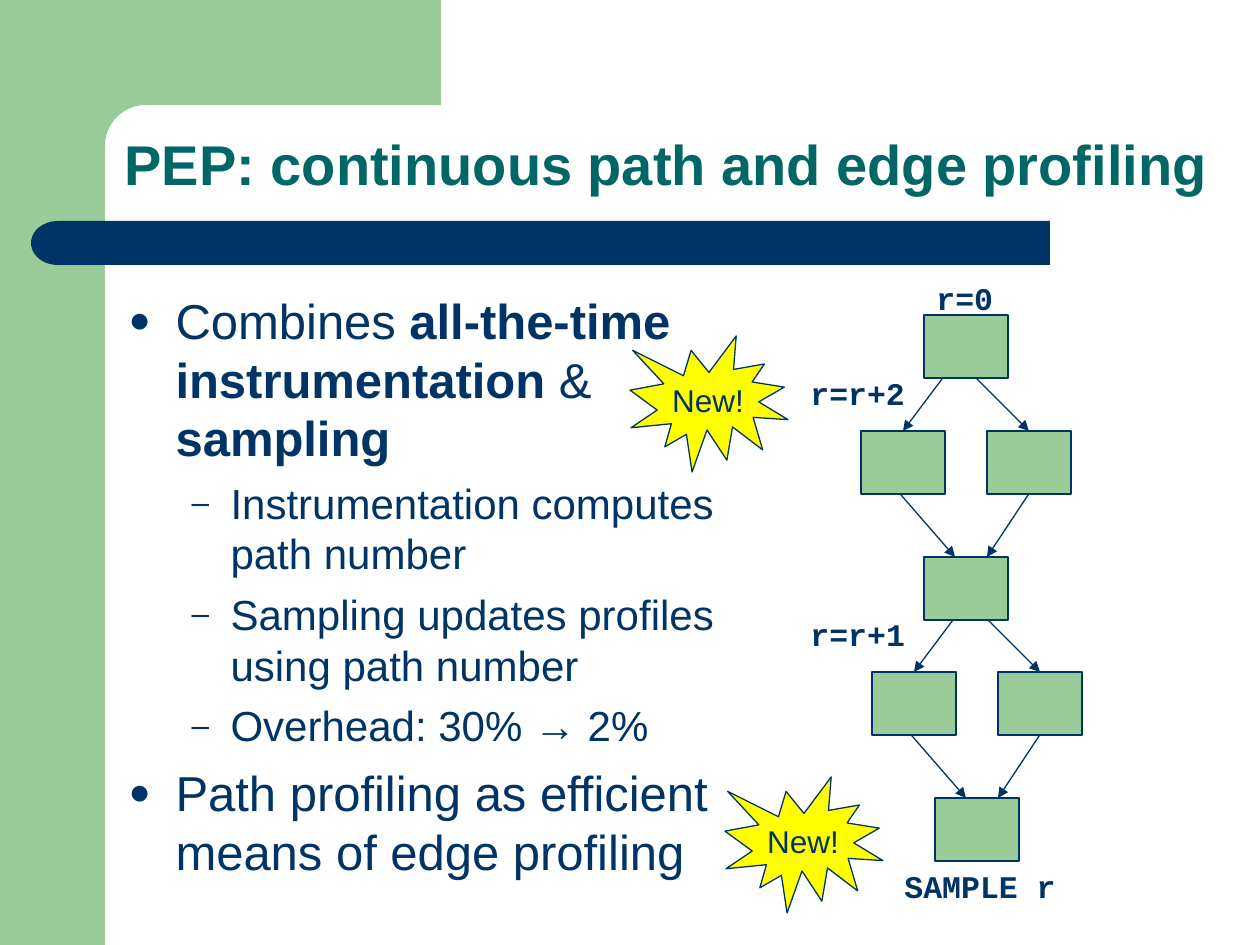
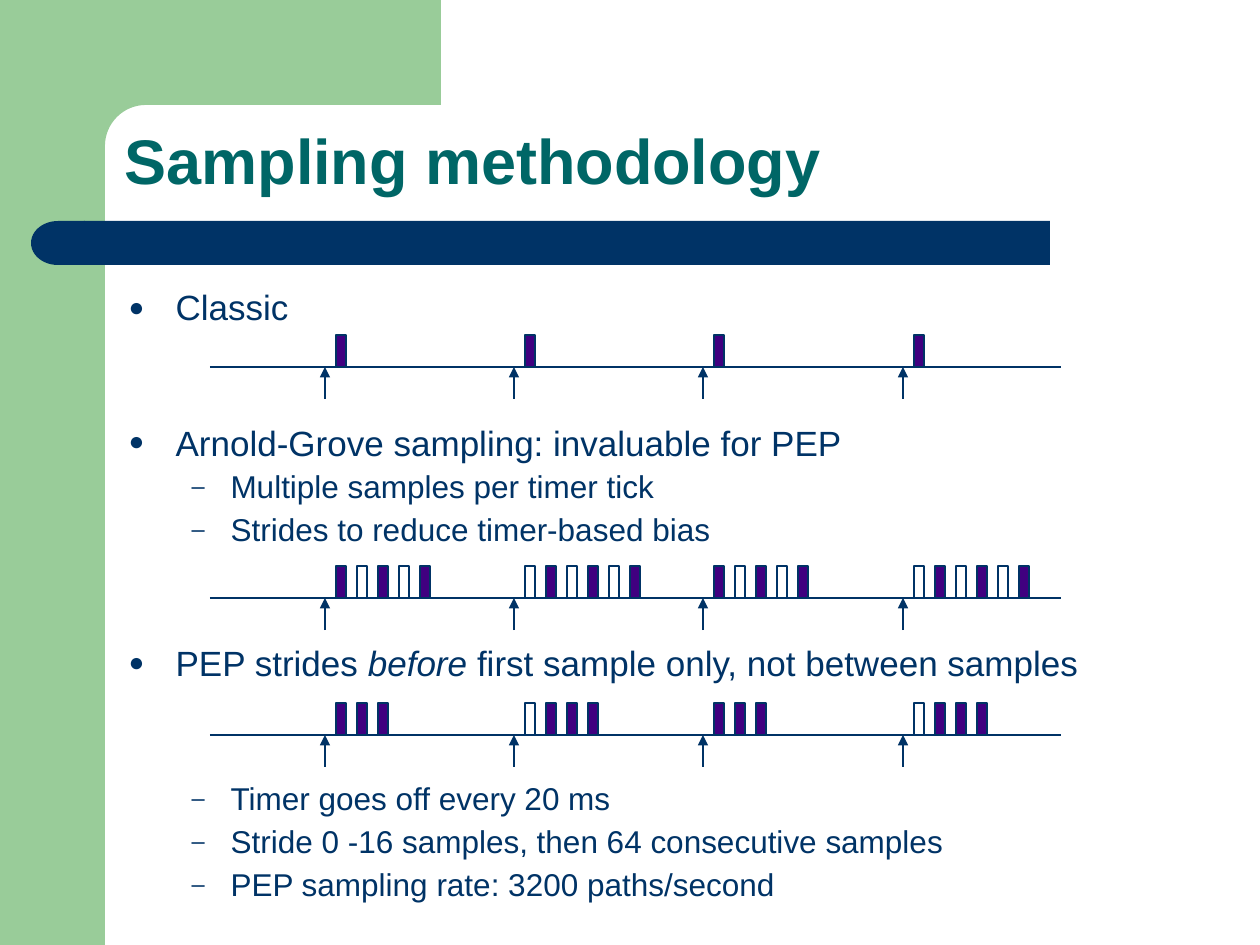
import math

from lxml import etree
from pptx import Presentation
from pptx.dml.color import RGBColor
from pptx.enum.shapes import MSO_CONNECTOR, MSO_SHAPE
from pptx.enum.text import MSO_ANCHOR, MSO_AUTO_SIZE, PP_ALIGN
from pptx.oxml.ns import qn
from pptx.util import Pt

RECTANGLE = MSO_SHAPE.RECTANGLE
DELAY = MSO_SHAPE.FLOWCHART_DELAY
BURST = MSO_SHAPE.EXPLOSION1
STRAIGHT = MSO_CONNECTOR.STRAIGHT
LEFT, CENTER = PP_ALIGN.LEFT, PP_ALIGN.CENTER
TOP, MIDDLE, BOTTOM = MSO_ANCHOR.TOP, MSO_ANCHOR.MIDDLE, MSO_ANCHOR.BOTTOM
NO_AUTOFIT = MSO_AUTO_SIZE.NONE

EMU_PER_PIXEL = 914400 / 126
COLORS = {
    "navy": "003366",
    "teal": "006666",
    "green": "99CC99",
    "yellow": "FFFF00",
    "purple": "400080",
}
SANS, MONO = "Arial", "Courier New"
# Bullet character, left margin and hanging indent of each list level
LEVELS = [("●", 47, 47), ("–", 102, 39)]


def px(length):
    """Turn pixels into EMU."""
    return round(length * EMU_PER_PIXEL)


def rgb(name):
    """Return the named colour."""
    return RGBColor.from_string(COLORS[name])


def write(paragraph, text, size=18, color="navy", font=SANS, bold=False, italic=False):
    """Add one formatted run to a paragraph."""
    run = paragraph.add_run()
    run.text = text
    run.font.name = font
    run.font.size = Pt(size)
    run.font.bold = bold
    run.font.italic = italic
    run.font.color.rgb = rgb(color)


def add_child(parent, tag, **attributes):
    """Append a drawing element to an XML parent."""
    return etree.SubElement(parent, qn(tag), attributes)


class Deck:
    """The style of the slides and the slide being filled."""

    def __init__(self, width, height):
        """Start a presentation of the given size."""
        self.presentation = Presentation()
        self.presentation.slide_width = px(width)
        self.presentation.slide_height = px(height)
        self.layout = self.presentation.slide_layouts[1]
        self.slide = None

    def new_slide(self, title, size, width):
        """Add a slide with its title; the first one also fills the layout."""
        first = self.slide is None
        self.slide = self.presentation.slides.add_slide(self.layout)
        if first:
            self.decorate_layout()
        shape = self.slide.shapes.title
        self.place(shape, 112, 112, width, 92)
        frame = self.frame(shape, BOTTOM)
        paragraph = frame.paragraphs[0]
        paragraph.alignment = LEFT
        paragraph.line_spacing = 0.9
        write(paragraph, title, size=size, color="teal", bold=True)

    def decorate_layout(self):
        """Draw the green corner and the navy bar, and move them to the layout."""
        decorations = [
            self.box(0, 0, 105, 945, fill="green", line=None),
            self.corner(),
            self.box(84, 221, 966, 44, fill="navy", line=None),
            self.box(31, 221, 54, 44, fill="navy", line=None, kind=DELAY),
        ]
        decorations[-1].rotation = 180
        tree = self.layout.shapes.element
        for position, shape in enumerate(decorations, 2):
            tree.insert(position, shape.element)
        for number, properties in enumerate(tree.xpath(".//p:cNvPr"), 1):
            properties.set("id", str(number))

    def corner(self):
        """Draw the top band with its rounded inner corner."""
        center, radius, steps = 146, 41, 16
        angles = [math.pi / 2 * step / steps for step in range(steps + 1)]
        arc = [(center - radius * math.sin(angle), center - radius * math.cos(angle))
               for angle in angles]
        outline = [(441, 105), *arc, (105, 161), (63, 161), (63, 0)]
        builder = self.slide.shapes.build_freeform(px(441), 0)
        builder.add_line_segments([(px(x), px(y)) for x, y in outline])
        shape = builder.convert_to_shape()
        self.paint(shape, "green", None)
        return shape

    def place(self, shape, left, top, width, height):
        """Move and size a placeholder."""
        shape.left, shape.top = px(left), px(top)
        shape.width, shape.height = px(width), px(height)

    def frame(self, shape, anchor, wrap=True):
        """Return the text frame of a shape, set to a fixed size."""
        frame = shape.text_frame
        frame.auto_size = NO_AUTOFIT
        frame.word_wrap = wrap
        frame.vertical_anchor = anchor
        return frame

    def paint(self, shape, fill, line):
        """Set fill and outline; None means neither."""
        shape.shadow.inherit = False
        if fill:
            shape.fill.solid()
            shape.fill.fore_color.rgb = rgb(fill)
        else:
            shape.fill.background()
        if line:
            shape.line.color.rgb = rgb(line)
            shape.line.width = Pt(0.75)
        else:
            shape.line.fill.background()

    def box(self, left, top, width, height, fill, line="navy", kind=RECTANGLE):
        """Add a preset shape."""
        shape = self.slide.shapes.add_shape(
            kind, px(left), px(top), px(width), px(height))
        self.paint(shape, fill, line)
        return shape

    def burst(self, left, top, text):
        """Add a yellow star with a word in it."""
        shape = self.box(left, top, 158, 136, "yellow", kind=BURST)
        paragraph = self.frame(shape, MIDDLE, wrap=False).paragraphs[0]
        paragraph.alignment = CENTER
        write(paragraph, text)

    def label(self, left, top, width, text):
        """Add a line of code text."""
        shape = self.slide.shapes.add_textbox(px(left), px(top), px(width), px(50))
        write(self.frame(shape, TOP).paragraphs[0], text, font=MONO, bold=True)

    def line(self, start, end, arrow=True):
        """Add a straight line, with an arrowhead at its end if wanted."""
        points = [px(value) for value in (*start, *end)]
        connector = self.slide.shapes.add_connector(STRAIGHT, *points)
        connector.line.color.rgb = rgb("navy")
        connector.line.width = Pt(0.75)
        if arrow:
            add_child(connector.line._get_or_add_ln(), "a:tailEnd", type="triangle")
        add_child(connector.element.spPr, "a:effectLst")

    def bullets(self, width, height, sizes, spaces, items, spacing=1.0):
        """Fill the body with (level, runs, changes) items."""
        shape = self.slide.placeholders[1]
        self.place(shape, 116, 284, width, height)
        frame = self.frame(shape, TOP)
        for index, (level, runs, changes) in enumerate(items):
            paragraph = frame.add_paragraph() if index else frame.paragraphs[0]
            paragraph.level = level
            paragraph.line_spacing = changes.get("spacing", spacing)
            paragraph.space_before = Pt(changes.get("before", spaces[level]))
            self.mark(paragraph, *LEVELS[level])
            for text, style in runs:
                write(paragraph, text, size=sizes[level], **style)

    def mark(self, paragraph, character, margin, hanging):
        """Give a paragraph its bullet and indent."""
        properties = paragraph._p.get_or_add_pPr()
        properties.set("marL", str(px(margin)))
        properties.set("indent", str(-px(hanging)))
        color = add_child(properties, "a:buClr")
        add_child(color, "a:srgbClr", val=COLORS["navy"])
        add_child(properties, "a:buSzPct", val="75000")
        add_child(properties, "a:buFont", typeface=SANS)
        add_child(properties, "a:buChar", char=character)

    def timeline(self, y, patterns):
        """Draw a time axis with ticks; # is a taken sample, . a skipped one."""
        self.line((210, y), (1061, y), arrow=False)
        for tick, pattern in zip((325, 514, 703, 903), patterns):
            for index, sample in enumerate(pattern):
                fill = "purple" if sample == "#" else None
                self.box(tick + 11 + 21 * index, y - 32, 10, 32, fill)
            self.line((tick, y + 32), (tick, y))


def plain(level, text, **changes):
    """Return a list item of one unformatted run."""
    return level, [(text, {})], changes


def profiling_slide(deck):
    """Build the slide with the control-flow graph."""
    deck.new_slide("PEP: continuous path and edge profiling", size=32, width=1110)
    bold = {"bold": True}
    combines = [("Combines ", {}), ("all-the-time instrumentation", bold),
                (" & ", {}), ("sampling", bold)]
    deck.bullets(662, 630, sizes=(28, 24), spaces=(7, 6), items=[
        (0, combines, {}),
        plain(1, "Instrumentation computes path number"),
        plain(1, "Sampling updates profiles using path number"),
        plain(1, "Overhead: 30% → 2%"),
        plain(0, "Path profiling as efficient means of edge profiling"),
    ])
    edges = [((966, 347), (903, 431)), ((955, 357), (1029, 431)),
             ((882, 473), (955, 557)), ((1050, 462), (987, 557))]
    blocks = [(861, 431), (987, 431), (924, 557)]
    diamonds = [(0, 0), (11, 241)]
    for right, down in diamonds:
        for (x1, y1), (x2, y2) in edges:
            deck.line((x1 + right, y1 + down), (x2 + right, y2 + down))
    deck.box(924, 315, 84, 63, "green")
    for right, down in diamonds:
        for x, y in blocks:
            deck.box(x + right, y + down, 84, 63, "green")
    deck.label(924, 273, 105, "r=0")
    deck.label(798, 368, 126, "r=r+2")
    deck.label(798, 609, 158, "r=r+1")
    deck.label(892, 861, 180, "SAMPLE r")
    deck.burst(630, 336, "New!")
    deck.burst(725, 777, "New!")


def sampling_slide(deck):
    """Build the slide with the three timelines."""
    deck.new_slide("Sampling methodology", size=36, width=1079)
    strides = [("PEP strides ", {}), ("before", {"italic": True}),
               (" first sample only, not between samples", {})]
    deck.bullets(1071, 620, sizes=(20, 18), spaces=(5, 5), spacing=0.9, items=[
        plain(0, "Classic"),
        plain(0, "Arnold-Grove sampling: invaluable for PEP", before=60, spacing=0.7),
        plain(1, "Multiple samples per timer tick"),
        plain(1, "Strides to reduce timer-based bias"),
        (0, strides, {"before": 56}),
        plain(1, "Timer goes off every 20 ms", before=57),
        plain(1, "Stride 0 -16 samples, then 64 consecutive samples"),
        plain(1, "PEP sampling rate: 3200 paths/second"),
    ])
    deck.timeline(367, ["#"] * 4)
    deck.timeline(598, ["#.#.#", ".#.#.#"] * 2)
    deck.timeline(735, ["###", ".###"] * 2)


deck = Deck(1260, 945)
profiling_slide(deck)
sampling_slide(deck)
deck.presentation.save("out.pptx")
